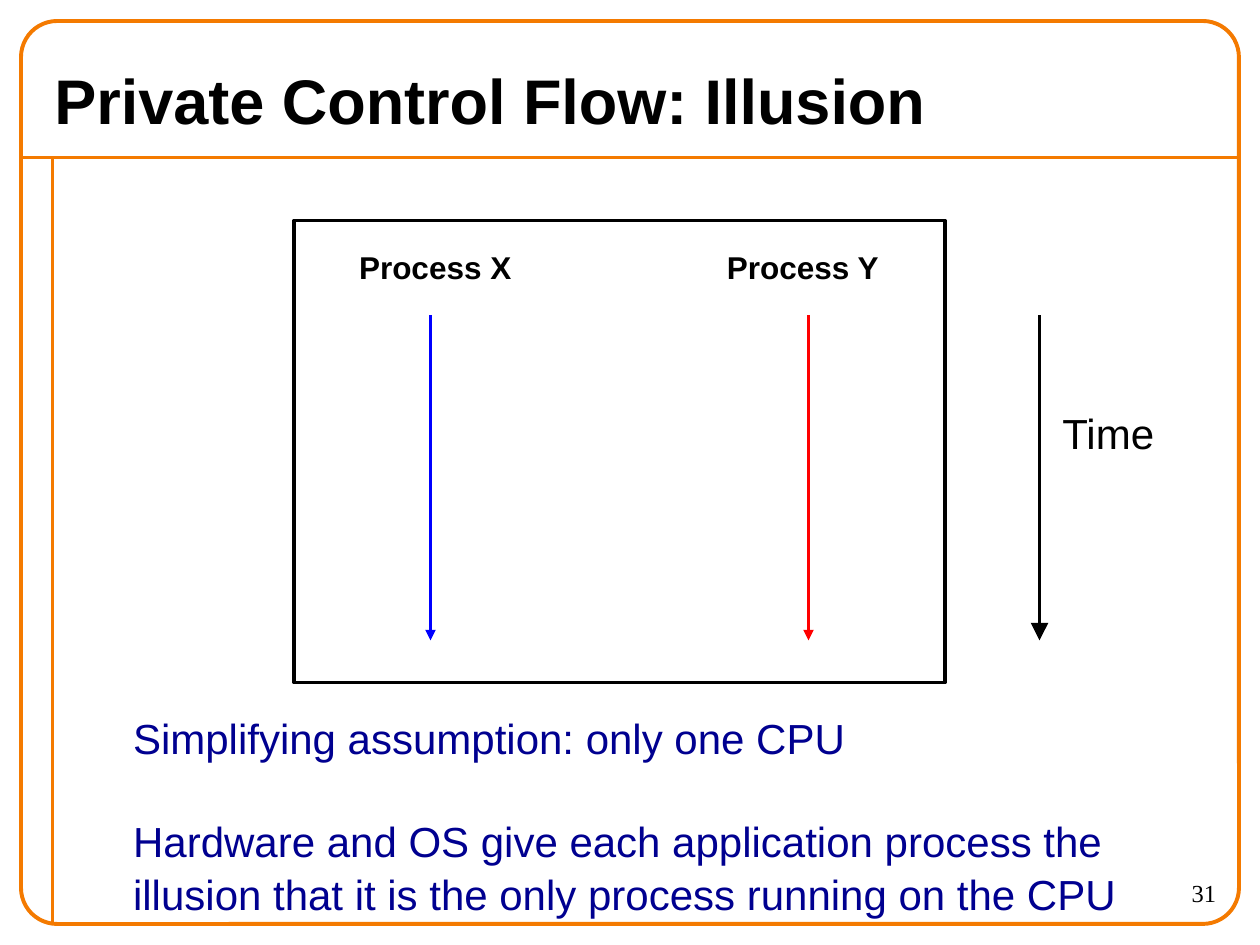
from lxml import etree
from pptx import Presentation, util as u
from pptx.dml.color import RGBColor
from pptx.enum import shapes, text
from pptx.oxml.ns import qn

# The slide is laid out on a grid of 120 columns by 90 rows.
COLS, ROWS = 120, 90
CELL = u.Inches(10) // COLS
ORANGE, BLACK, NAVY = "F47A00", "000000", "000090"
FLOW_TOP, FLOW_BOTTOM = 30, 61


def grid(*cells):
    """Turn columns and rows into lengths."""
    return [round(c * CELL) for c in cells]


def color(hex_code):
    return RGBColor.from_string(hex_code)


def add_text(s, box, *lines, size=24, bold=False, font="Arial", ink=BLACK,
             align=text.PP_ALIGN.LEFT, anchor=text.MSO_ANCHOR.TOP,
             wrap=False, spacing=1.0, gap=0):
    """Add one paragraph per line, with a gap in points after the first."""
    tf = s.shapes.add_textbox(*grid(*box)).text_frame
    tf.word_wrap = wrap
    tf.vertical_anchor = anchor
    for i, line in enumerate(lines):
        p = tf.paragraphs[0] if i == 0 else tf.add_paragraph()
        p.alignment = align
        p.line_spacing = spacing
        if i == 1:
            p.space_before = u.Pt(gap)
        r = p.add_run()
        r.text = line
        r.font.size, r.font.bold, r.font.name = u.Pt(size), bold, font
        r.font.color.rgb = color(ink)


def add_outline(s, kind, box, ink, width, corner=None):
    sp = s.shapes.add_shape(kind, *grid(*box))
    sp.shadow.inherit = False
    sp.fill.background()
    sp.line.color.rgb = color(ink)
    sp.line.width = u.Pt(width)
    if corner is not None:
        sp.adjustments[0] = corner


def add_line(s, start, end, ink, width, head=None):
    """Draw a line; head is the arrowhead size, med or lg."""
    line = s.shapes.add_connector(shapes.MSO_CONNECTOR.STRAIGHT,
                                  *grid(*start, *end))
    line.line.color.rgb = color(ink)
    line.line.width = u.Pt(width)
    if head:
        etree.SubElement(line.line._get_or_add_ln(), qn("a:tailEnd"),
                         type="triangle", w=head, len=head)
    etree.SubElement(line._element.spPr, qn("a:effectLst"))


def add_flow(s, col, ink, head="med"):
    add_line(s, (col, FLOW_TOP), (col, FLOW_BOTTOM), ink, 2, head)


def add_page_frame(s):
    add_line(s, (2, 15), (118, 15), ORANGE, 2.25)
    add_line(s, (5, 15), (5, 88), ORANGE, 2.25)
    add_outline(s, shapes.MSO_SHAPE.ROUNDED_RECTANGLE, (2, 2, 116, 86),
                ORANGE, 2.25, corner=0.04)


def add_processes(s):
    add_outline(s, shapes.MSO_SHAPE.RECTANGLE, (28, 21, 62, 44), BLACK, 2)
    for name, label_col, flow_col, ink in (("Process X", 33, 41, "0000FF"),
                                           ("Process Y", 68, 77, "FF0000")):
        add_text(s, (label_col, 23, 16.9, 4.8), name, size=18, bold=True,
                 align=text.PP_ALIGN.CENTER)
        add_flow(s, flow_col, ink)


def add_time_axis(s):
    add_flow(s, 99, BLACK, head="lg")
    add_text(s, (100, 38, 11.3, 6), "Time", spacing=1.05)


def main():
    prs = Presentation()
    prs.slide_width, prs.slide_height = grid(COLS, ROWS)
    s = prs.slides.add_slide(prs.slide_layouts[6])
    add_page_frame(s)
    add_text(s, (4, 5, 112, 9), "Private Control Flow: Illusion", size=36,
             bold=True, anchor=text.MSO_ANCHOR.MIDDLE, wrap=True)
    add_processes(s)
    add_time_axis(s)
    add_text(s, (11.5, 67, 96, 20.4),
             "Simplifying assumption: only one CPU",
             "Hardware and OS give each application process the",
             "illusion that it is the only process running on the CPU",
             ink=NAVY, spacing=1.05, gap=29)
    add_text(s, (105, 83, 12, 5), "31", size=14, font="Times New Roman",
             align=text.PP_ALIGN.RIGHT, wrap=True)
    prs.save("out.pptx")


if __name__ == "__main__":
    main()
